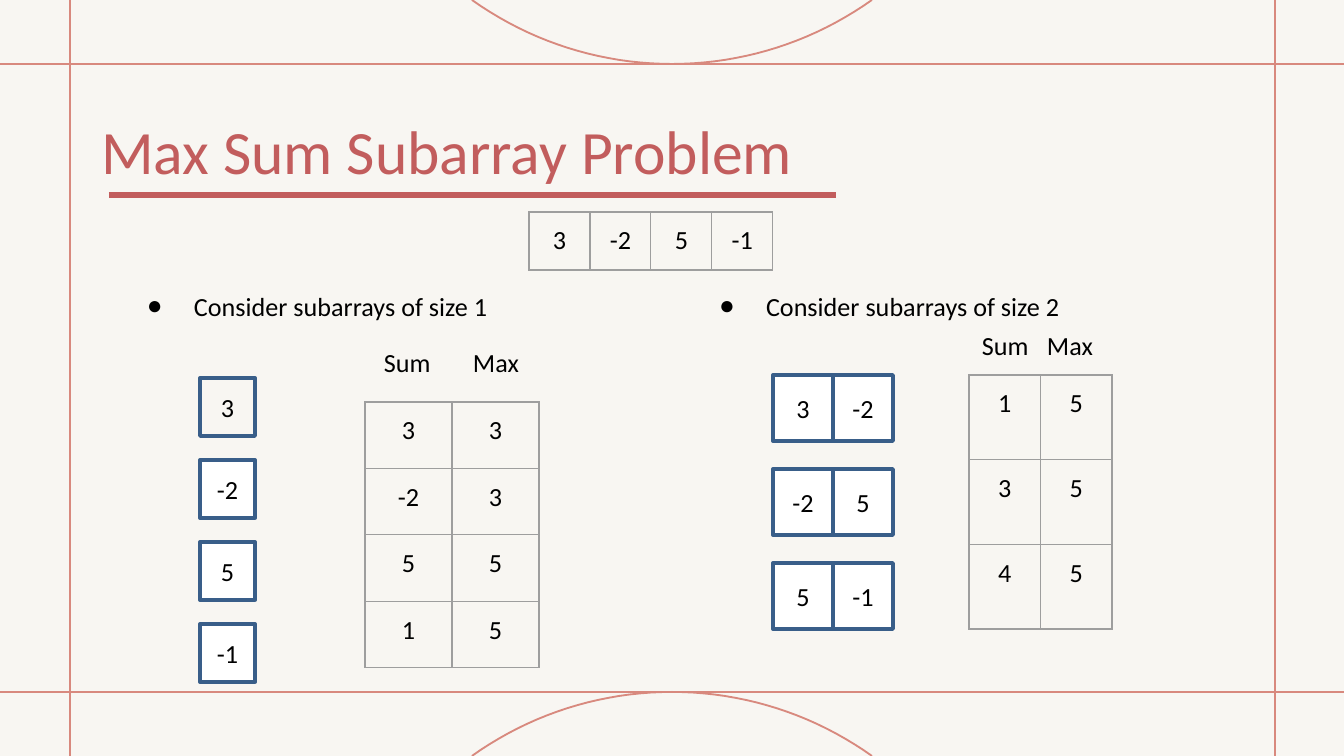
from math import asin, cos, sin

from lxml import etree
from pptx import Presentation
from pptx.dml.color import RGBColor
from pptx.enum.shapes import MSO_CONNECTOR, MSO_SHAPE
from pptx.enum.text import MSO_ANCHOR, MSO_AUTO_SIZE, PP_ALIGN
from pptx.oxml.ns import qn
from pptx.util import Emu, Pt

LINE = MSO_CONNECTOR.STRAIGHT
RECT = MSO_SHAPE.RECTANGLE
MIDDLE, TOP = MSO_ANCHOR.MIDDLE, MSO_ANCHOR.TOP
FIXED = MSO_AUTO_SIZE.NONE
LEFT, CENTER = PP_ALIGN.LEFT, PP_ALIGN.CENTER

WIDE, HIGH = 1344, 756
SCALE = 9144000 / WIDE
PAD = 13
FACE = "Calibri"
COLORS = {
    "paper": "F8F6F2",
    "white": "FFFFFF",
    "court": "D8897E",
    "title": "C25D5D",
    "text": "000000",
    "grid": "9E9E9E",
    "box": "395E89",
}
NUMS = [3, -2, 5, -1]


def px(n):
    return Emu(round(n * SCALE))


def rgb(name):
    return RGBColor.from_string(COLORS[name])


def style(para, size=14, color="text", align=LEFT):
    para.alignment = align
    para.font.size = Pt(size)
    para.font.name = FACE
    para.font.color.rgb = rgb(color)


def inset(frame, pad):
    frame.margin_left = frame.margin_right = px(pad)
    frame.margin_top = frame.margin_bottom = px(pad)


def place(shape, *area):
    shape.left, shape.top, shape.width, shape.height = map(px, area)


def add_line(slide, x1, y1, x2, y2, color="court", width=1):
    line = slide.shapes.add_connector(LINE, px(x1), px(y1), px(x2), px(y2))
    line.line.color.rgb = rgb(color)
    line.line.width = Pt(width)
    etree.SubElement(line._element.spPr, qn("a:effectLst"))


def add_arc(slide, peak, side, half=200, depth=64, steps=40):
    radius = (half ** 2 + depth ** 2) / (2 * depth)
    span = asin(half / radius)
    turns = [span * (2 * i / steps - 1) for i in range(steps + 1)]
    dots = [
        (px(WIDE / 2 + radius * sin(t)), px(peak + side * radius * (1 - cos(t))))
        for t in turns
    ]
    path = slide.shapes.build_freeform(*dots[0])
    path.add_line_segments(dots[1:], close=False)
    arc = path.convert_to_shape()
    arc.shadow.inherit = False
    arc.fill.background()
    arc.line.color.rgb = rgb("court")
    arc.line.width = Pt(1)


def add_court(slide):
    slide.background.fill.solid()
    slide.background.fill.fore_color.rgb = rgb("paper")
    for y in (692, 64):
        add_line(slide, 0, y, WIDE, y)
    for x in (1275, 70):
        add_line(slide, x, HIGH, x, 0)
    add_arc(slide, 64, -1)
    add_arc(slide, 692, 1)


def set_title(slide, text):
    title = slide.shapes.title
    place(title, 101, 112, 738, 75)
    frame = title.text_frame
    frame.text = text
    frame.auto_size = FIXED
    frame.vertical_anchor = MIDDLE
    inset(frame, 0)
    style(frame.paragraphs[0], 33, "title")
    add_line(slide, 109, 195, 836, 195, "title", 3)


def set_list(body, text, x, width):
    place(body, x, 277, width, 60)
    frame = body.text_frame
    frame.text = text
    frame.auto_size = FIXED
    frame.vertical_anchor = TOP
    inset(frame, PAD)
    para = frame.paragraphs[0]
    props = para._p.get_or_add_pPr()
    props.set("marL", str(px(67)))
    props.set("indent", str(px(-47)))
    tint = etree.SubElement(props, qn("a:buClr"))
    etree.SubElement(tint, qn("a:srgbClr"), val=COLORS["text"])
    etree.SubElement(props, qn("a:buChar"), char="●")
    para.space_before = Pt(0)
    style(para)


def add_label(slide, text, x, y):
    label = slide.shapes.add_textbox(px(x), px(y), px(78), px(59))
    frame = label.text_frame
    frame.text = text
    frame.word_wrap = True
    inset(frame, PAD)
    style(frame.paragraphs[0])


def add_box(slide, num, x, y, width, height, fill="white"):
    box = slide.shapes.add_shape(RECT, *map(px, (x, y, width, height)))
    box.shadow.inherit = False
    box.fill.solid()
    box.fill.fore_color.rgb = rgb(fill)
    box.line.color.rgb = rgb("box")
    box.line.width = Pt(2)
    box.text_frame.text = str(num)
    box.text_frame.vertical_anchor = MIDDLE
    style(box.text_frame.paragraphs[0], align=CENTER)


def set_cell(cell, num):
    cell.text = str(num)
    inset(cell, PAD)
    style(cell.text_frame.paragraphs[0], align=CENTER)
    props = cell._tc.get_or_add_tcPr()
    for side in ("lnL", "lnR", "lnT", "lnB"):
        edge = etree.SubElement(props, qn("a:" + side), w=str(Pt(0.75)))
        fill = etree.SubElement(edge, qn("a:solidFill"))
        etree.SubElement(fill, qn("a:srgbClr"), val=COLORS["grid"])
    cell.fill.background()


def add_grid(slide, rows, *area):
    shape = slide.shapes.add_table(len(rows), len(rows[0]), *map(px, area))
    table = shape.table
    table.first_row = table.horz_banding = False
    for r, row in enumerate(rows):
        for c, num in enumerate(row):
            set_cell(table.cell(r, c), num)


def main():
    deck = Presentation()
    deck.slide_width, deck.slide_height = px(WIDE), px(HIGH)
    slide = deck.slides.add_slide(deck.slide_layouts[3])
    add_court(slide)
    set_title(slide, "Max Sum Subarray Problem")
    add_grid(slide, [NUMS], 529, 212, 244, 58)

    left, right = list(slide.placeholders)[1:]
    set_list(left, "Consider subarrays of size 1", 114, 462)
    set_list(right, "Consider subarrays of size 2", 686, 554)

    for i, num in enumerate(NUMS):
        fill = "white" if i else "paper"
        add_box(slide, num, 200, 378 + 82 * i, 55, 58, fill)
    for i, pair in enumerate(zip(NUMS, NUMS[1:])):
        for j, num in enumerate(pair):
            add_box(slide, num, 773 + 60 * j, 375 + 94 * i, 60, 66)

    for text, x, y in (
        ("Sum", 371, 333), ("Max", 460, 333), ("Sum", 969, 316), ("Max", 1034, 316)
    ):
        add_label(slide, text, x, y)
    add_grid(slide, [(3, 3), (-2, 3), (5, 5), (1, 5)], 365, 402, 174, 266)
    add_grid(slide, [(1, 5), (3, 5), (4, 5)], 969, 375, 143, 254)
    deck.save("out.pptx")


if __name__ == "__main__":
    main()
